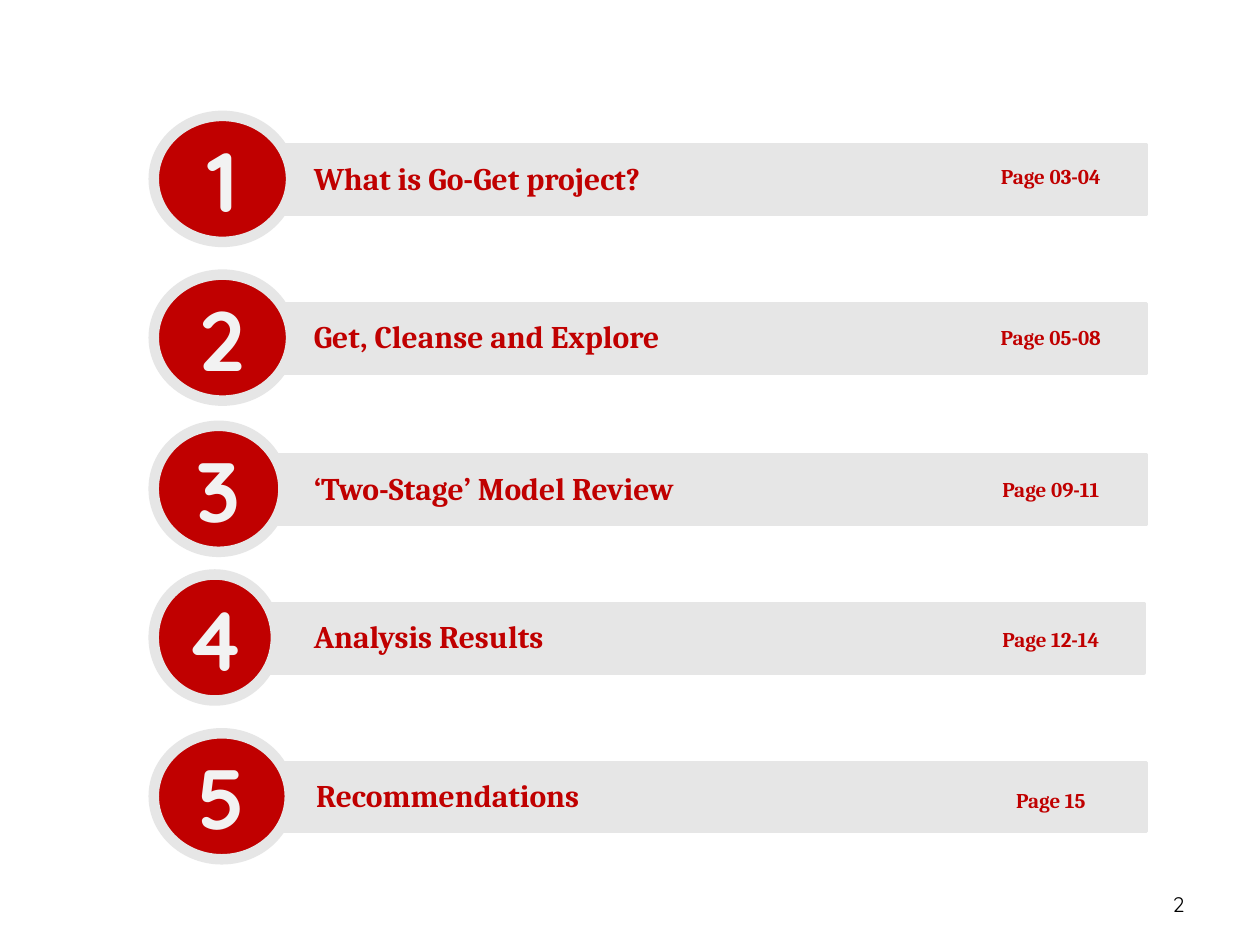
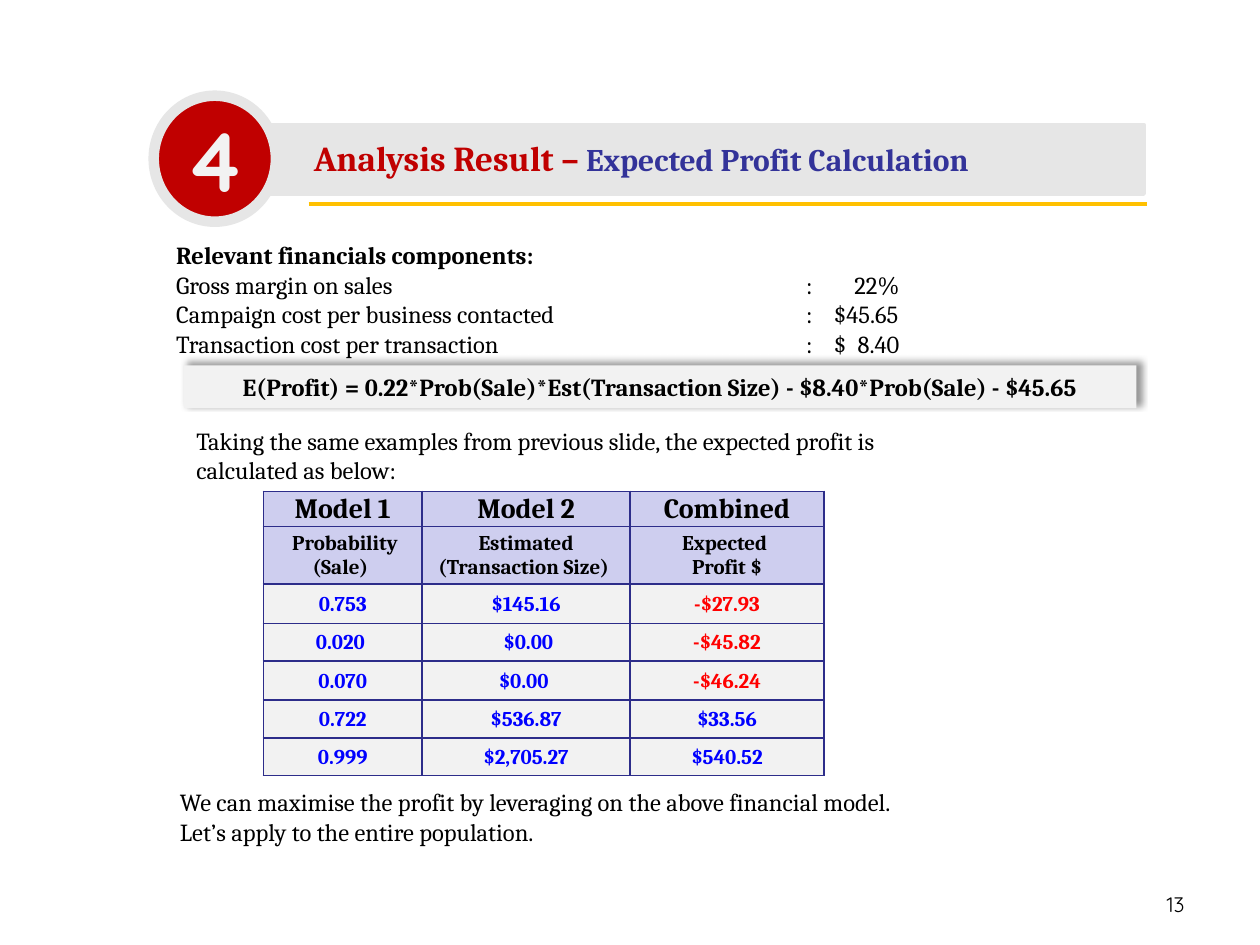
from dataclasses import dataclass
from typing import NamedTuple

import lxml.etree
import pptx
import pptx.dml.color
import pptx.enum.shapes
import pptx.enum.text
import pptx.oxml.ns
import pptx.util
from pptx.util import Inches

ALIGN = pptx.enum.text.PP_ALIGN
ANCHOR = pptx.enum.text.MSO_ANCHOR
SHAPE = pptx.enum.shapes.MSO_SHAPE


@dataclass(frozen=True)
class Theme:
    text_font: str = "Cambria"
    number_font: str = "Quicksand"
    red: str = "C00000"
    band: str = "E6E6E6"
    pale: str = "F2F2F2"
    gold: str = "FFC000"
    indigo: str = "333399"
    black: str = "000000"
    table_header: str = "CECEEF"
    table_border: str = "2D2D8A"
    gain: str = "0000FF"
    loss: str = "FF0000"
    badge_size: int = 48
    title_size: int = 20
    heading_size: int = 18
    column_size: int = 16
    body_size: int = 14
    small_size: int = 12


THEME = Theme()


class Box(NamedTuple):
    left: float
    top: float
    width: float
    height: float

    def lengths(self) -> list:
        return [Inches(value) for value in self]


class Run(NamedTuple):
    text: str
    size: int = THEME.body_size
    color: str = THEME.black
    bold: bool = False
    font: str = THEME.text_font


@dataclass(frozen=True)
class Heading:
    """A numbered badge on a grey band."""
    number: str
    runs: list[Run]
    top: float
    badge_width: float
    band_right: float = 9.1
    label_left: float = 2.49
    label_height: float = 0.3


class AgendaItem(NamedTuple):
    heading: Heading
    pages: str
    pages_top: float


def red_title(text: str, size: int = THEME.heading_size) -> Run:
    return Run(text, size, THEME.red, True)


AGENDA = [
    AgendaItem(Heading("1", [red_title("What is Go-Get project?")], 1.15, 1.09),
               "Page 03-04", 1.25),
    AgendaItem(Heading("2", [red_title("Get, Cleanse and Explore")], 2.41, 1.09),
               "Page 05-08", 2.53),
    AgendaItem(Heading("3", [red_title("‘Two-Stage’ Model Review")], 3.61, 1.03),
               "Page 09-11", 3.73),
    AgendaItem(Heading("4", [red_title("Analysis Results")], 4.79, 0.97, 9.08),
               "Page 12-14", 4.92),
    AgendaItem(Heading("5", [red_title("Recommendations")], 6.05, 1.08, label_left=2.51),
               "Page 15", 6.2),
]

PROFIT_HEADING = Heading(
    "4",
    [red_title("Analysis Result –", THEME.title_size),
     Run(" ", THEME.heading_size, THEME.red, True),
     Run("Expected Profit Calculation", THEME.heading_size, THEME.indigo, True)],
    0.99, 0.97, 9.08, label_height=0.34)

FINANCIALS = [
    "Gross margin on sales\t:\t\t22%",
    "Campaign cost per business contacted\t:\t$45.65",
    "Transaction cost per transaction\t:\t$\t8.40",
]
FINANCIAL_TABS = [(5.0, "l"), (5.22, "l"), (5.74, "r")]

COLUMN_WIDTHS = [1.26, 1.65, 1.54]
ROW_HEIGHTS = [0.26, 0.46, 0.31, 0.3, 0.31, 0.3, 0.3]
PROFIT_ROWS = [
    ["Model 1", "Model 2", "Combined"],
    [" Probability\n(Sale) ", " Estimated \n(Transaction Size) ", "Expected \nProfit $"],
    ["0.753", " $145.16 ", "-$27.93"],
    ["0.020 ", " $0.00", "-$45.82"],
    ["0.070", "$0.00 ", "-$46.24"],
    ["0.722", " $536.87 ", "$33.56"],
    ["0.999", " $2,705.27 ", "$540.52"],
]
HEADER_ROWS = 2


def rgb(color: str) -> pptx.dml.color.RGBColor:
    return pptx.dml.color.RGBColor.from_string(color)


def add_element(parent, tag: str, **attributes: str):
    element = lxml.etree.SubElement(parent, pptx.oxml.ns.qn(tag))
    for name, value in attributes.items():
        element.set(name, value)
    return element


def write(frame, paragraphs: list[list[Run]], align=ALIGN.LEFT) -> None:
    for index, runs in enumerate(paragraphs):
        paragraph = frame.paragraphs[0] if index == 0 else frame.add_paragraph()
        paragraph.alignment = align
        for item in runs:
            run = paragraph.add_run()
            run.text = item.text
            run.font.name = item.font
            run.font.size = pptx.util.Pt(item.size)
            run.font.bold = item.bold
            run.font.color.rgb = rgb(item.color)


def add_text(slide, box: Box, paragraphs: list[list[Run]], align=ALIGN.LEFT):
    frame = slide.shapes.add_textbox(*box.lengths()).text_frame
    frame.word_wrap = True
    write(frame, paragraphs, align)
    return frame


def add_filled(slide, kind, box: Box, fill: str, line_width: float = 0):
    """Add a preset shape, outlined in the band colour when a line width is given."""
    shape = slide.shapes.add_shape(kind, *box.lengths())
    shape.shadow.inherit = False
    shape.fill.solid()
    shape.fill.fore_color.rgb = rgb(fill)
    if line_width:
        shape.line.color.rgb = rgb(THEME.band)
        shape.line.width = pptx.util.Pt(line_width)
    else:
        shape.line.fill.background()
    return shape


def add_heading(slide, heading: Heading) -> None:
    band_left = 1.28 + 0.67 * heading.badge_width
    add_filled(slide, SHAPE.RECTANGLE,
               Box(band_left, heading.top, heading.band_right - band_left, 0.55),
               THEME.band, 2)
    badge = add_filled(slide, SHAPE.OVAL,
                       Box(1.22, heading.top - 0.23, heading.badge_width, 1),
                       THEME.red, 6)
    badge.text_frame.vertical_anchor = ANCHOR.MIDDLE
    write(badge.text_frame,
          [[Run(heading.number, THEME.badge_size, THEME.pale, True, THEME.number_font)]],
          ALIGN.CENTER)
    label_top = heading.top + 0.26 - heading.label_height / 2
    label = add_filled(slide, SHAPE.RECTANGLE,
                       Box(heading.label_left, label_top,
                           9.0 - heading.label_left, heading.label_height),
                       THEME.band)
    frame = label.text_frame
    frame.margin_left = frame.margin_right = frame.margin_top = frame.margin_bottom = 0
    frame.vertical_anchor = ANCHOR.MIDDLE
    frame.word_wrap = True
    write(frame, [heading.runs])


def add_page_number(slide, number: str) -> None:
    add_text(slide, Box(7.17, 7.03, 2.33, 0.35),
             [[Run(number, THEME.small_size, font=THEME.number_font)]], ALIGN.RIGHT)


def add_underline(slide) -> None:
    line = slide.shapes.add_connector(
        pptx.enum.shapes.MSO_CONNECTOR.STRAIGHT,
        Inches(2.45), Inches(1.62), Inches(9.1), Inches(1.62))
    line.line.color.rgb = rgb(THEME.gold)
    line.line.width = pptx.util.Pt(2.25)
    add_element(line._element.spPr, "a:effectLst")


def add_financials(slide) -> None:
    frame = add_text(slide, Box(1.3, 1.86, 7.87, 1.04),
                     [[Run("Relevant financials components:", bold=True)],
                      *[[Run(line)] for line in FINANCIALS]])
    for paragraph in frame.paragraphs[1:]:
        tabs = add_element(paragraph._p.get_or_add_pPr(), "a:tabLst")
        for position, side in FINANCIAL_TABS:
            add_element(tabs, "a:tab", pos=str(Inches(position)), algn=side)


def add_formula(slide) -> None:
    formula = add_filled(slide, SHAPE.RECTANGLE, Box(1.46, 2.9, 7.56, 0.34), THEME.pale)
    formula.text_frame.word_wrap = True
    write(formula.text_frame,
          [[Run("E(Profit) = 0.22*Prob(Sale)*Est(Transaction Size)"
                " - $8.40*Prob(Sale) - $45.65", bold=True)]], ALIGN.CENTER)
    effects = formula._element.spPr.find(pptx.oxml.ns.qn("a:effectLst"))
    shadow = add_element(effects, "a:outerShdw", blurRad=str(pptx.util.Pt(4)),
                         dist=str(pptx.util.Pt(3)), dir=str(315 * 60000),
                         algn="bl", rotWithShape="0")
    add_element(add_element(shadow, "a:srgbClr", val=THEME.black), "a:alpha", val="40000")


def set_borders(cell) -> None:
    properties = cell._tc.get_or_add_tcPr()
    for index, side in enumerate(("a:lnL", "a:lnR", "a:lnT", "a:lnB")):
        border = add_element(properties, side, w=str(pptx.util.Pt(1)))
        add_element(add_element(border, "a:solidFill"), "a:srgbClr", val=THEME.table_border)
        properties.insert(index, border)


def cell_style(row: int, text: str) -> tuple[int, str]:
    """Return the type size and colour of a table cell."""
    if row < HEADER_ROWS:
        return (THEME.small_size if row else THEME.column_size), THEME.black
    return THEME.small_size, THEME.loss if text.startswith("-") else THEME.gain


def add_profit_table(slide) -> None:
    box = Box(2.09, 3.9, sum(COLUMN_WIDTHS), sum(ROW_HEIGHTS))
    table = slide.shapes.add_table(
        len(ROW_HEIGHTS), len(COLUMN_WIDTHS), *box.lengths()).table
    table.first_row = table.horz_banding = False
    for column, width in zip(table.columns, COLUMN_WIDTHS):
        column.width = Inches(width)
    for row, (height, texts) in enumerate(zip(ROW_HEIGHTS, PROFIT_ROWS)):
        table.rows[row].height = Inches(height)
        for column, text in enumerate(texts):
            cell = table.cell(row, column)
            cell.margin_left = cell.margin_right = cell.margin_top = Inches(0.01)
            cell.margin_bottom = 0
            cell.vertical_anchor = ANCHOR.MIDDLE
            cell.fill.solid()
            cell.fill.fore_color.rgb = rgb(
                THEME.table_header if row < HEADER_ROWS else THEME.pale)
            set_borders(cell)
            size, color = cell_style(row, text)
            write(cell.text_frame,
                  [[Run(line, size, color, True)] for line in text.split("\n")],
                  ALIGN.CENTER)


def build_agenda(slide) -> None:
    for item in AGENDA:
        add_heading(slide, item.heading)
        add_text(slide, Box(7.63, item.pages_top, 1.42, 0.3),
                 [[red_title(item.pages, THEME.small_size)]], ALIGN.CENTER)
    add_page_number(slide, "2")


def build_expected_profit(slide) -> None:
    add_underline(slide)
    add_heading(slide, PROFIT_HEADING)
    add_page_number(slide, "13")
    add_financials(slide)
    add_formula(slide)
    add_text(slide, Box(1.46, 3.33, 6.3, 0.57),
             [[Run("Taking the same examples from previous slide, the expected "
                   "profit is calculated as below:")]])
    add_profit_table(slide)
    closing = add_text(slide, Box(1.33, 6.2, 6.03, 0.57),
                       [[Run("We can maximise the profit by leveraging on the above "
                             "financial model. Let’s apply to the entire population.")]])
    closing.paragraphs[0].space_before = pptx.util.Pt(10)


def main() -> None:
    presentation = pptx.Presentation()
    presentation.slide_width, presentation.slide_height = Inches(10), Inches(7.5)
    for build in (build_agenda, build_expected_profit):
        build(presentation.slides.add_slide(presentation.slide_layouts[6]))
    presentation.save("out.pptx")


if __name__ == "__main__":
    main()
